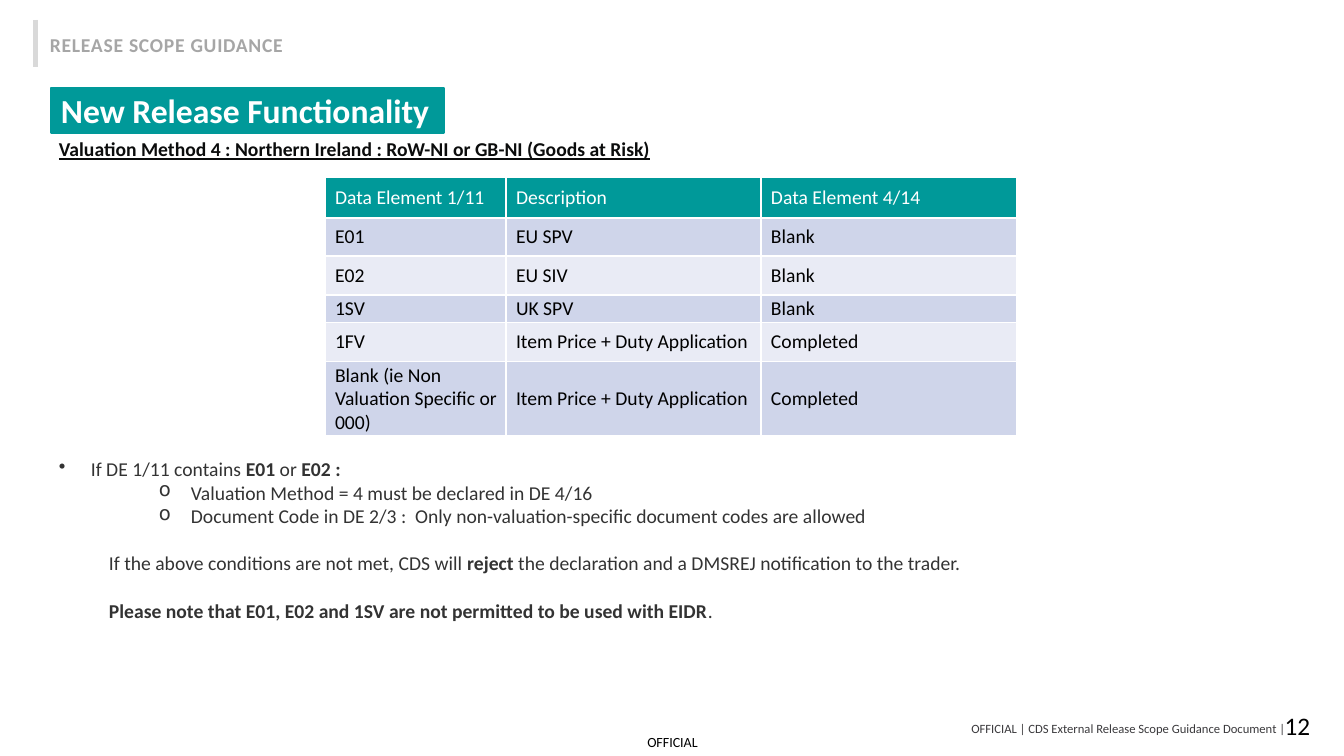
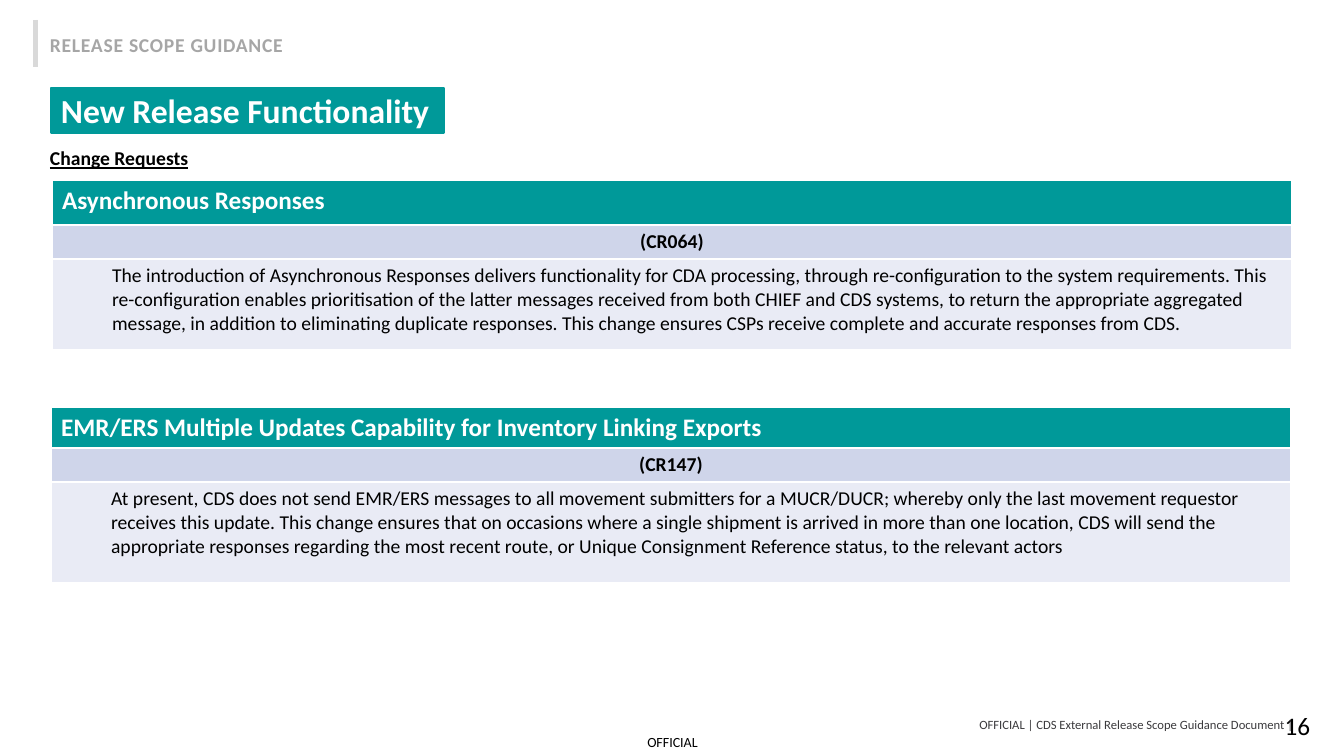
from dataclasses import dataclass

from lxml.etree import SubElement
from pptx import Presentation
from pptx.dml.color import RGBColor
from pptx.enum.shapes import MSO_CONNECTOR as Connector, MSO_SHAPE as Shape
from pptx.enum.text import MSO_ANCHOR as Anchor, PP_ALIGN as Align
from pptx.oxml.ns import qn
from pptx.util import Emu, Pt


@dataclass(frozen=True)
class Theme:
    font: str = "Calibri"
    teal: str = "009999"
    white: str = "FFFFFF"
    black: str = "000000"
    heading: str = "0B0C0C"
    body: str = "333333"
    footer: str = "3B3A3D"
    muted: str = "A6A6A6"
    rule: str = "D9D9D9"
    bands: tuple = ("CFD5EA", "E9EBF5")
    title_size: int = 24
    large: int = 18
    normal: int = 14
    marking: int = 10
    small: int = 9


T = Theme()
SLIDE_W, SLIDE_H = 1344, 756
PX_PER_INCH = 100.8

SECTION = "RELEASE SCOPE GUIDANCE"
TITLE = "New Release Functionality"
MARKING = "OFFICIAL"
FOOTER = "OFFICIAL | CDS External Release Scope Guidance Document |"

VALUATION_HEADING = "Valuation Method 4 : Northern Ireland : RoW-NI or GB-NI (Goods at Risk)"
VALUATION_ROWS = [
    ("Data Element 1/11", "Description", "Data Element 4/14"),
    ("E01", "EU SPV", "Blank"),
    ("E02", "EU SIV", "Blank"),
    ("1SV", "UK SPV", "Blank"),
    ("1FV", "Item Price + Duty Application", "Completed"),
    ("Blank (ie Non Valuation Specific or 000)", "Item Price + Duty Application", "Completed"),
]
# Text between double asterisks is bold.
VALUATION_RULES = [
    ("If DE 1/11 contains **E01** or **E02 :**", dict(margin=32, hang=32, bullet="•")),
    ("Valuation Method = 4 must be declared in DE 4/16",
     dict(margin=132, hang=32, bullet="o")),
    ("Document Code in DE 2/3 :  Only non-valuation-specific document codes are allowed",
     dict(margin=132, hang=32, bullet="o")),
    ("If the above conditions are not met, CDS will **reject** the declaration "
     "and a DMSREJ notification to the trader.", dict(margin=50, before=17)),
    ("**Please note that E01, E02 and 1SV are not permitted to be used with EIDR**.",
     dict(margin=50, before=17)),
]

CHANGES_HEADING = "Change Requests"
CHANGES = [
    dict(box=(52, 180), heights=(45, 34, 91), title="Asynchronous Responses", code="(CR064)",
         body="The introduction of Asynchronous Responses delivers functionality for CDA "
              "processing, through re-configuration to the system requirements. This "
              "re-configuration enables prioritisation of the latter messages received from "
              "both CHIEF and CDS systems, to return the appropriate aggregated message, in "
              "addition to eliminating duplicate responses. This change ensures CSPs receive "
              "complete and accurate responses from CDS."),
    dict(box=(51, 407), heights=(41, 34, 101),
         title="EMR/ERS Multiple Updates Capability for Inventory Linking Exports",
         code="(CR147)",
         body="At present, CDS does not send EMR/ERS messages to all movement submitters for "
              "a MUCR/DUCR; whereby only the last movement requestor receives this update. "
              "This change ensures that on occasions where a single shipment is arrived in "
              "more than one location, CDS will send the appropriate responses regarding the "
              "most recent route, or Unique Consignment Reference status, to the relevant "
              "actors"),
]


def px(n):
    return Emu(round(n * 914400 / PX_PER_INCH))


def rgb(color):
    return RGBColor.from_string(color)


def write(p, text, size=T.normal, color=T.black, bold=False, underline=False, align=None,
          spacing=None, margin=0, hang=0, bullet=None, before=0):
    """Fill a paragraph; text between double asterisks switches bold on."""
    if align is not None:
        p.alignment = align
    if before:
        p.space_before = Pt(before)
    if margin:
        pPr = p._p.get_or_add_pPr()
        pPr.set("marL", str(px(margin)))
        pPr.set("indent", str(-px(hang)))
        if bullet:
            SubElement(pPr, qn("a:buChar"), char=bullet)
    for i, part in enumerate(text.split("**")):
        if not part:
            continue
        r = p.add_run()
        r.text = part
        r.font.name, r.font.size = T.font, Pt(size)
        r.font.bold = bold or i % 2 == 1
        r.font.underline = underline
        r.font.color.rgb = rgb(color)
        if spacing:
            r._r.get_or_add_rPr().set("spc", str(spacing))


def add_text(s, box, text, anchor=Anchor.TOP, inset=True, wrap=True, **fmt):
    tf = s.shapes.add_textbox(*map(px, box)).text_frame
    tf.word_wrap, tf.vertical_anchor = wrap, anchor
    if not inset:
        tf.margin_left = tf.margin_right = tf.margin_top = tf.margin_bottom = 0
    write(tf.paragraphs[0], text, **fmt)
    return tf


def add_table(s, left, top, widths, heights, rows, margins=None):
    """Draw rows of (text, format) cells under a teal header, with alternating bands."""
    table = s.shapes.add_table(len(heights), len(widths), px(left), px(top),
                               px(sum(widths)), px(sum(heights))).table
    for column, width in zip(table.columns, widths):
        column.width = px(width)
    for i, (height, row) in enumerate(zip(heights, rows)):
        table.rows[i].height = px(height)
        for j, (text, fmt) in enumerate(row):
            cell = table.cell(i, j)
            cell.fill.solid()
            cell.fill.fore_color.rgb = rgb(T.bands[(i - 1) % 2] if i else T.teal)
            if margins is not None:
                cell.vertical_anchor = Anchor.MIDDLE
                cell.margin_top = cell.margin_bottom = cell.margin_right = px(margins)
            write(cell.text_frame.paragraphs[0], text,
                  **{"color": T.black if i else T.white, **fmt})


def add_slide(prs, number, footer_at):
    """Start a slide with the section label, title band and footer."""
    s = prs.slides.add_slide(prs.slide_layouts[6])
    add_text(s, (632, 727, 81, 29), MARKING, anchor=Anchor.MIDDLE, inset=False,
             size=T.marking, align=Align.CENTER)
    for x in (36, 35):
        rule = s.shapes.add_connector(Connector.STRAIGHT, px(x), px(20), px(x), px(67))
        rule.line.color.rgb, rule.line.width = rgb(T.rule), Pt(2.25)
        SubElement(rule._element.spPr, qn("a:effectLst"))
    add_text(s, (40, 28, 256, 34), SECTION, wrap=False, color=T.muted, bold=True, spacing=50)
    add_text(s, (1271, 705, 49, 40), number, anchor=Anchor.MIDDLE, size=T.large,
             align=Align.RIGHT)
    add_text(s, (*footer_at, 964, 16), FOOTER, anchor=Anchor.MIDDLE, inset=False,
             size=T.small, color=T.footer, align=Align.RIGHT)

    band = s.shapes.add_shape(Shape.RECTANGLE, px(51), px(88), px(393), px(45))
    band.shadow.inherit = False
    band.fill.solid()
    band.fill.fore_color.rgb = band.line.color.rgb = rgb(T.teal)
    band.line.width = Pt(2)
    band.text_frame.vertical_anchor = Anchor.MIDDLE
    write(band.text_frame.paragraphs[0], TITLE, size=T.title_size, color=T.white, bold=True,
          align=Align.LEFT)
    return s


def valuation_slide(prs):
    s = add_slide(prs, "12", (321, 720))
    add_text(s, (49, 132, 1244, 34), VALUATION_HEADING, color=T.heading, bold=True,
             underline=True)
    rows = [[(text, {}) for text in row] for row in VALUATION_ROWS]
    add_table(s, 325, 177, (181, 255, 256), (41, 38, 39, 27, 39, 73), rows, margins=2)

    (first, fmt), *rest = VALUATION_RULES
    tf = add_text(s, (49, 452, 1244, 175), first, color=T.body, **fmt)
    for text, fmt in rest:
        write(tf.add_paragraph(), text, color=T.body, **fmt)


def changes_slide(prs):
    s = add_slide(prs, "16", (329, 716))
    add_text(s, (40, 141, 672, 34), CHANGES_HEADING, bold=True, underline=True)
    for change in CHANGES:
        rows = [
            [(change["title"], dict(size=T.large, bold=True))],
            [(change["code"], dict(bold=True, align=Align.CENTER))],
            [(change["body"], dict(margin=50))],
        ]
        add_table(s, *change["box"], (1240,), change["heights"], rows)


def main():
    prs = Presentation()
    prs.slide_width, prs.slide_height = px(SLIDE_W), px(SLIDE_H)
    valuation_slide(prs)
    changes_slide(prs)
    prs.save("out.pptx")


if __name__ == "__main__":
    main()
